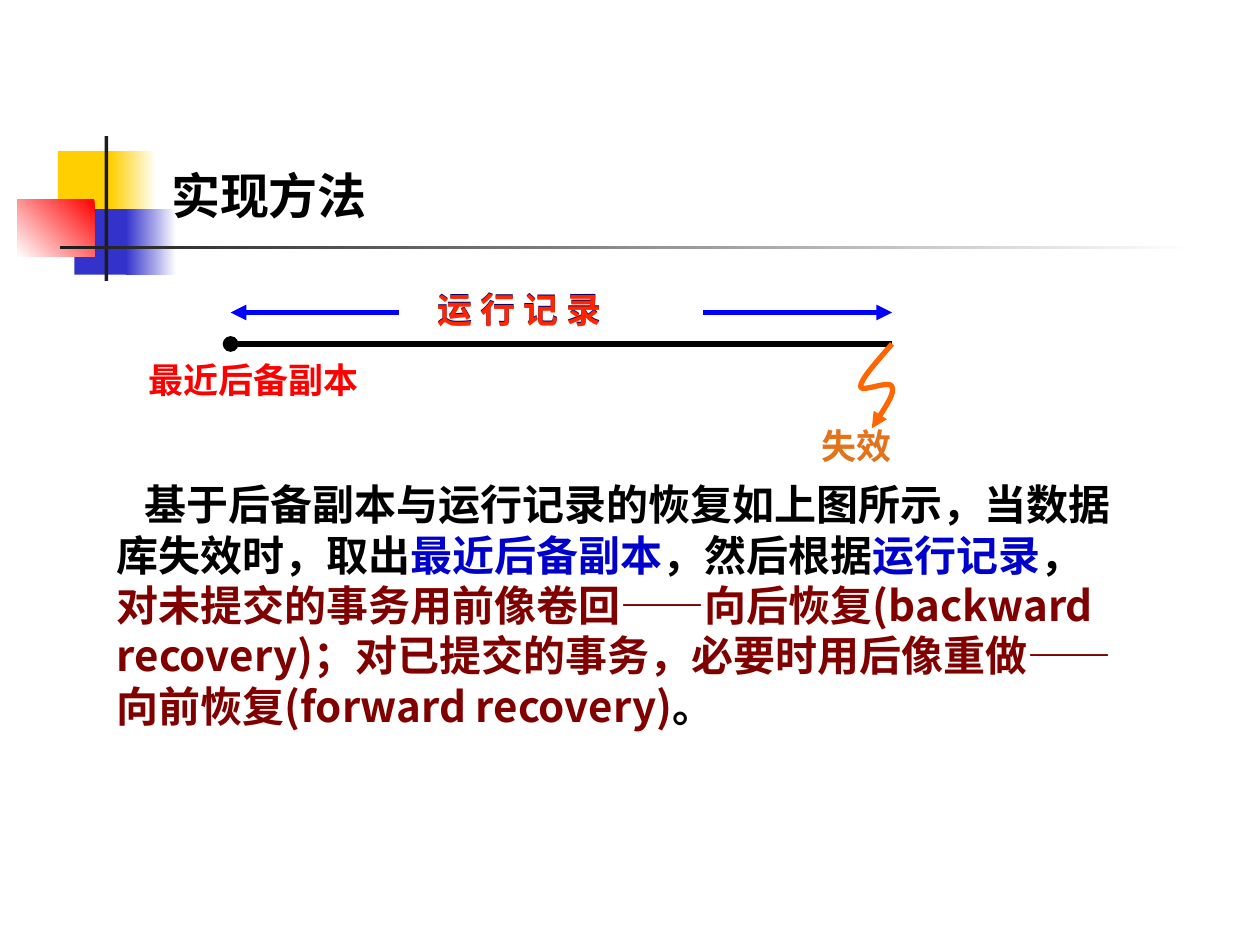
from typing import NamedTuple, Optional

from lxml import etree
from pptx import Presentation
from pptx.dml.color import RGBColor
from pptx.enum import shapes, text
from pptx.oxml import ns
from pptx.util import Inches, Pt

BLACK = RGBColor(0x00, 0x00, 0x00)
WHITE = RGBColor(0xFF, 0xFF, 0xFF)
CHARCOAL = RGBColor(0x1C, 0x1C, 0x1C)
YELLOW = RGBColor(0xFF, 0xCF, 0x01)
INDIGO = RGBColor(0x33, 0x33, 0xCC)
RED = RGBColor(0xFF, 0x00, 0x00)
SCARLET = RGBColor(0xFF, 0x25, 0x01)
NAVY = RGBColor(0x00, 0x00, 0x66)
BLUE = RGBColor(0x00, 0x00, 0xFF)
TERM_BLUE = RGBColor(0x00, 0x00, 0xCC)
ORANGE = RGBColor(0xFF, 0x66, 0x00)
FAILURE = RGBColor(0xE3, 0x72, 0x1D)
MAROON = RGBColor(0x80, 0x00, 0x00)
CJK = "Noto Sans CJK SC"


class Block(NamedTuple):
    x: float
    y: float
    w: float
    h: float
    color: RGBColor
    end: Optional[RGBColor] = None
    angle: float = 180


class Label(NamedTuple):
    x: float
    y: float
    w: float
    h: float
    runs: list[tuple[str, RGBColor]]
    size: float = 20
    font: str = CJK
    indent: float = 0
    anchor: text.MSO_ANCHOR = text.MSO_ANCHOR.TOP


class Line(NamedTuple):
    x1: float
    x2: float
    y: float
    color: RGBColor
    head: Optional[str] = None
    tail: Optional[str] = None


BLOCKS = [
    Block(0.46, 1.2, 0.48, 0.52, YELLOW),
    Block(0.88, 1.2, 0.36, 0.52, WHITE, YELLOW),
    Block(0.59, 1.66, 0.46, 0.52, INDIGO),
    Block(1, 1.66, 0.4, 0.52, WHITE, INDIGO),
    Block(0.14, 1.58, 0.61, 0.46, RED, WHITE, 225),
    Block(0.83, 1.08, 0.03, 1.15, CHARCOAL),
    Block(0.48, 1.95, 9, 0.03, WHITE, CHARCOAL),
]
TITLE = Label(1.26, 0.23, 8.52, 1.6, [("实现方法", BLACK)], 28, "Cabin",
              anchor=text.MSO_ANCHOR.BOTTOM)
LINES = [
    Line(1.83, 7.08, 2.73, BLACK, head="oval"),
    Line(1.83, 3.17, 2.48, BLUE, head="triangle"),
    Line(5.58, 7.08, 2.48, BLUE, tail="triangle"),
]
FAILURE_CURVE = [
    (7.08, 2.73),
    (6.96, 2.87), (6.83, 3.01), (6.83, 3.07),
    (6.83, 3.12), (7.07, 3.01), (7.08, 3.07),
    (7.1, 3.12), (7.01, 3.26), (6.92, 3.4),
]
LOG = Label(3.25, 2.23, 2.08, 0.44, [("运 行 记 录", NAVY)], indent=0.12)
DIAGRAM_LABELS = [LOG, Label(6.42, 3.32, 0.92, 0.44, [("失效", FAILURE)])]
TOP_LABELS = [
    Label(1.08, 2.8, 1.92, 0.44, [("最近后备副本", RED)]),
    LOG._replace(y=2.24, runs=[("运 行 记 录", SCARLET)]),
    Label(0.83, 3.75, 8.17, 2.1, [
        ("基于后备副本与运行记录的恢复如上图所示，当数据库失效时，取出", BLACK),
        ("最近后备副本", TERM_BLUE),
        ("，然后根据", BLACK),
        ("运行记录", TERM_BLUE),
        ("，", BLACK),
        ("对未提交的事务用前像卷回——向后恢复(backward recovery)；"
         "对已提交的事务，必要时用后像重做——向前恢复(forward recovery)", MAROON),
        ("。", BLACK),
    ], 24, indent=0.22),
]


def add_block(parent, b: Block) -> None:
    sp = parent.add_shape(shapes.MSO_SHAPE.RECTANGLE, Inches(b.x), Inches(b.y),
                          Inches(b.w), Inches(b.h))
    sp.shadow.inherit = False
    sp.line.fill.background()
    if b.end is None:
        sp.fill.solid()
        sp.fill.fore_color.rgb = b.color
    else:
        sp.fill.gradient()
        sp.fill.gradient_angle = b.angle
        for stop, color in zip(sp.fill.gradient_stops, (b.color, b.end)):
            stop.color.rgb = color


def add_label(parent, label: Label) -> None:
    sp = parent.add_textbox(Inches(label.x), Inches(label.y),
                            Inches(label.w), Inches(label.h))
    tf = sp.text_frame
    tf.word_wrap = True
    tf.vertical_anchor = label.anchor
    p = tf.paragraphs[0]
    if label.indent:
        p._p.get_or_add_pPr().set("indent", str(Inches(label.indent)))
    p.font.size = Pt(label.size)
    p.font.bold = True
    p.font.name = label.font
    for content, color in label.runs:
        r = p.add_run()
        r.text = content
        r.font.size = Pt(label.size)
        r.font.bold = True
        r.font.name = label.font
        r.font.color.rgb = color
        ea = etree.SubElement(r._r.get_or_add_rPr(), ns.qn("a:ea"))
        ea.set("typeface", CJK)


def style_line(sp, color: RGBColor, head: Optional[str], tail: Optional[str]) -> None:
    sp.line.color.rgb = color
    sp.line.width = Pt(3)
    ln = sp.line._get_or_add_ln()
    for tag, kind in (("a:headEnd", head), ("a:tailEnd", tail)):
        if kind:
            etree.SubElement(ln, ns.qn(tag)).set("type", kind)


def add_line(parent, line: Line) -> None:
    sp = parent.add_connector(shapes.MSO_CONNECTOR.STRAIGHT, Inches(line.x1),
                              Inches(line.y), Inches(line.x2), Inches(line.y))
    style_line(sp, line.color, line.head, line.tail)
    etree.SubElement(sp._element.spPr, ns.qn("a:effectLst"))


def add_curve(parent, points: list[tuple[float, float]], color: RGBColor) -> None:
    start, *rest = [(Inches(x), Inches(y)) for x, y in points]
    fb = parent.build_freeform(*start)
    fb.add_line_segments(rest, close=False)
    sp = fb.convert_to_shape()
    sp.shadow.inherit = False
    sp.fill.background()
    style_line(sp, color, None, "triangle")
    segments = list(sp._element.iter(ns.qn("a:lnTo")))
    for i in range(0, len(segments), 3):
        bezier = etree.Element(ns.qn("a:cubicBezTo"))
        segments[i].addprevious(bezier)
        for segment in segments[i:i + 3]:
            bezier.append(segment[0])
            segment.getparent().remove(segment)


def main() -> None:
    prs = Presentation()
    prs.slide_width, prs.slide_height = Inches(10), Inches(7.5)
    s = prs.slides.add_slide(prs.slide_layouts[6])
    for block in BLOCKS:
        add_block(s.shapes, block)
    add_label(s.shapes, TITLE)
    diagram = s.shapes.add_group_shape().shapes
    for line in LINES:
        add_line(diagram, line)
    add_curve(diagram, FAILURE_CURVE, ORANGE)
    for label in DIAGRAM_LABELS:
        add_label(diagram, label)
    for label in TOP_LABELS:
        add_label(s.shapes, label)
    prs.save("out.pptx")


if __name__ == "__main__":
    main()
